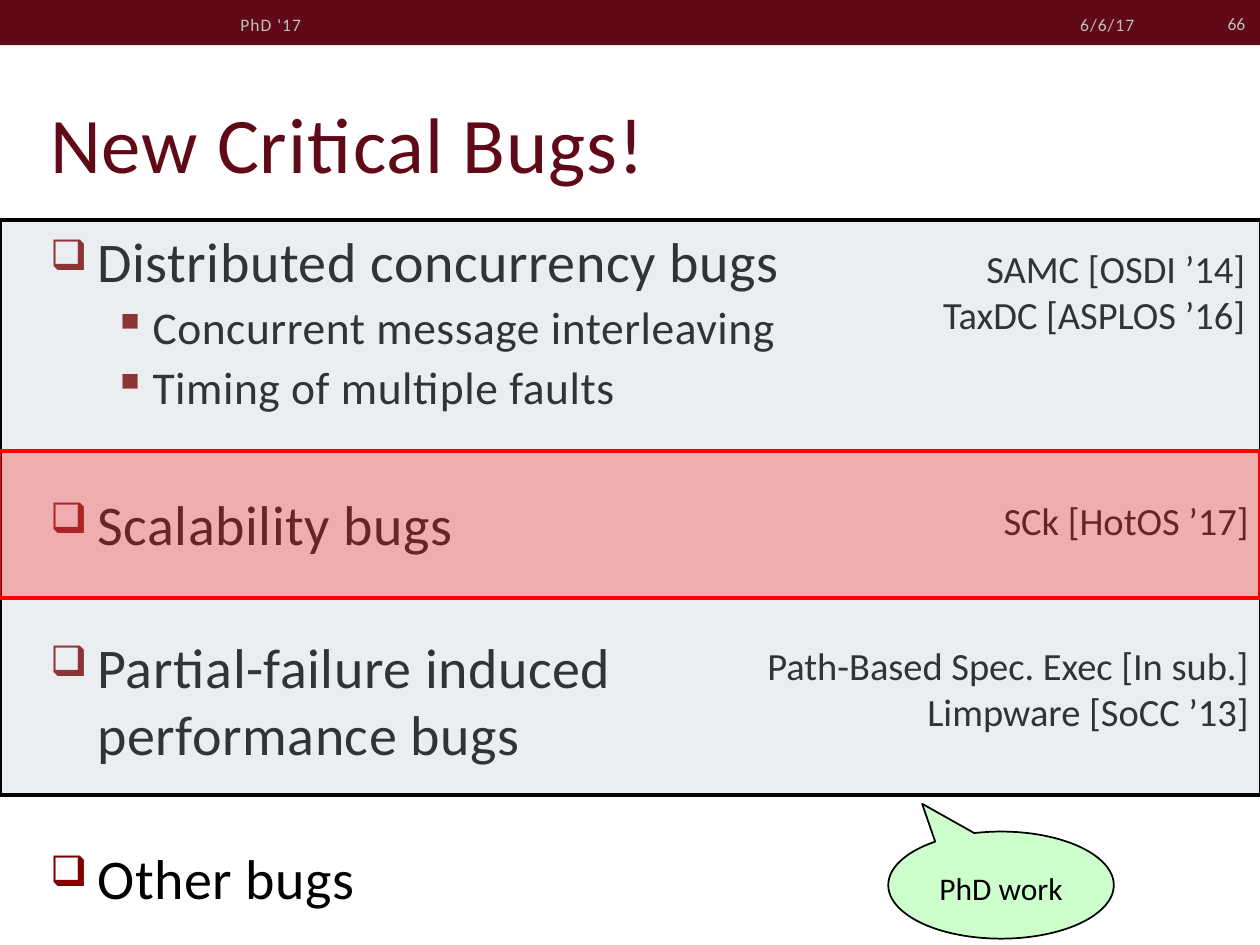
from dataclasses import dataclass

from lxml.etree import SubElement
from pptx import Presentation
from pptx.dml.color import RGBColor
from pptx.enum.shapes import MSO_SHAPE as Preset
from pptx.enum.text import MSO_ANCHOR as Anchor, PP_ALIGN as Align
from pptx.oxml.ns import qn
from pptx.util import Pt

FONT = "Calibri"
MAROON, GREY, BLACK, RED = "600A18", "BFBFBF", "000000", "FF0000"
BULLET_COLOR = "800000"
GROUP_GAP = 43.4


@dataclass
class Area:
    left: float
    top: float
    width: float
    height: float

    def lengths(self) -> tuple:
        return Pt(self.left), Pt(self.top), Pt(self.width), Pt(self.height)


@dataclass
class Style:
    size: float
    color: str = BLACK
    spacing: float = 0


@dataclass
class Label:
    text: str
    area: Area
    style: Style
    align: Align = Align.LEFT
    anchor: Anchor = Anchor.MIDDLE
    inset: float = 3.6


@dataclass
class Bullet:
    text: str
    level: int = 0
    before: float = GROUP_GAP


@dataclass
class Band:
    area: Area
    fill: str
    line: str


def color(value: str) -> RGBColor:
    return RGBColor.from_string(value)


def format_para(para, style: Style) -> None:
    for span in para.runs:
        span.font.name = FONT
        span.font.size = Pt(style.size)
        span.font.color.rgb = color(style.color)
        if style.spacing:
            span.font._element.set("spc", str(round(style.spacing * 100)))


def add_box(page, area: Area, anchor: Anchor, inset: float):
    frame = page.shapes.add_textbox(*area.lengths()).text_frame
    frame.word_wrap = True
    frame.vertical_anchor = anchor
    frame.margin_top = frame.margin_bottom = Pt(inset)
    return frame


def add_label(page, label: Label) -> None:
    frame = add_box(page, label.area, label.anchor, label.inset)
    frame.text = label.text
    for para in frame.paragraphs:
        para.alignment = label.align
        format_para(para, label.style)


def set_bullet(para, level: int) -> None:
    margin, indent, sign, percent = [(27, -27, "❑", 75), (58.5, -22.5, "▪", 100)][level]
    props = para._p.get_or_add_pPr()
    props.set("marL", str(Pt(margin)))
    props.set("indent", str(Pt(indent)))
    props.set("lvl", str(level))
    SubElement(SubElement(props, qn("a:buClr")), qn("a:srgbClr"), val=BULLET_COLOR)
    SubElement(props, qn("a:buSzPct"), val=str(percent * 1000))
    SubElement(props, qn("a:buChar"), char=sign)


def add_bullets(page, area: Area, bullets: list[Bullet]) -> None:
    frame = add_box(page, area, Anchor.TOP, 3.6)
    for index, bullet in enumerate(bullets):
        para = frame.add_paragraph() if index else frame.paragraphs[0]
        para.text = bullet.text
        set_bullet(para, bullet.level)
        para.space_before = Pt(bullet.before)
        format_para(para, Style((32, 26)[bullet.level], BLACK, 0.3))


def add_shape(page, preset: Preset, area: Area, fill: str, line: str = "",
              weight: float = 1, alpha: int = 100):
    shape = page.shapes.add_shape(preset, *area.lengths())
    shape.shadow.inherit = False
    shape.fill.solid()
    shape.fill.fore_color.rgb = color(fill)
    if alpha < 100:
        tint = shape._element.spPr.find(qn("a:solidFill"))[0]
        SubElement(tint, qn("a:alpha"), val=str(alpha * 1000))
    if line:
        shape.line.color.rgb = color(line)
        shape.line.width = Pt(weight)
    else:
        shape.line.fill.background()
    return shape


HEADER = Style(10, GREY, 0.6)
REFERENCE = Style(22)

LABELS = [
    Label("New Critical Bugs!", Area(21.6, 21.6, 679, 90), Style(45, MAROON, 0.5),
          anchor=Anchor.BOTTOM),
    Label("6/6/17", Area(526.3, 3.6, 128.9, 20.9), HEADER, Align.RIGHT),
    Label("PhD '17", Area(130.3, 3.6, 256.3, 20.9), HEADER),
    Label("66", Area(655.2, -0.7, 63.4, 28.8), Style(10, GREY), Align.RIGHT),
    Label("SAMC [OSDI ’14]\nTaxDC [ASPLOS ’16]", Area(484.6, 120.2, 234, 92.2),
          REFERENCE, Align.RIGHT, inset=0),
    Label("SCk [HotOS ’17]", Area(527, 267.8, 193.7, 59), REFERENCE, Align.RIGHT, inset=0),
    Label("Path-Based Spec. Exec [In sub.]\nLimpware [SoCC ’13]",
          Area(396, 363.6, 324.7, 59), REFERENCE, Align.RIGHT, inset=0),
]

BULLETS = [
    Bullet("Distributed concurrency bugs", before=0),
    Bullet("Concurrent message interleaving", 1, 3),
    Bullet("Timing of multiple faults", 1, 3),
    Bullet("Scalability bugs"),
    Bullet("Partial-failure induced\vperformance bugs"),
    Bullet("Other bugs"),
]

BANDS = [
    Band(Area(0, 126, 720.7, 328.3), "B2C1CE", BLACK),
    Band(Area(-0.7, 257.8, 720.7, 84.2), RED, RED),
]


def main() -> None:
    deck = Presentation()
    deck.slide_width, deck.slide_height = Pt(720), Pt(540)
    page = deck.slides.add_slide(deck.slide_layouts[6])

    # Header strip
    add_shape(page, Preset.RECTANGLE, Area(0, 0, 720, 25.9), MAROON)

    # Title, header texts, references and bug list
    for label in LABELS:
        add_label(page, label)
    add_bullets(page, Area(21.6, 126, 679, 403.2), BULLETS)

    # Translucent bands over the list
    for band in BANDS:
        add_shape(page, Preset.RECTANGLE, band.area, band.fill, band.line, 2.25, 27)

    # Callout
    callout = add_shape(page, Preset.OVAL_CALLOUT, Area(507.6, 475.2, 128.9, 61.2),
                        "CCFFCC", BLACK)
    callout.adjustments[0], callout.adjustments[1] = -0.35, -0.76
    frame = callout.text_frame
    frame.text = "PhD work"
    frame.vertical_anchor = Anchor.MIDDLE
    frame.margin_bottom = Pt(0)
    frame.paragraphs[0].alignment = Align.CENTER
    format_para(frame.paragraphs[0], Style(18))

    deck.save("out.pptx")


if __name__ == "__main__":
    main()
